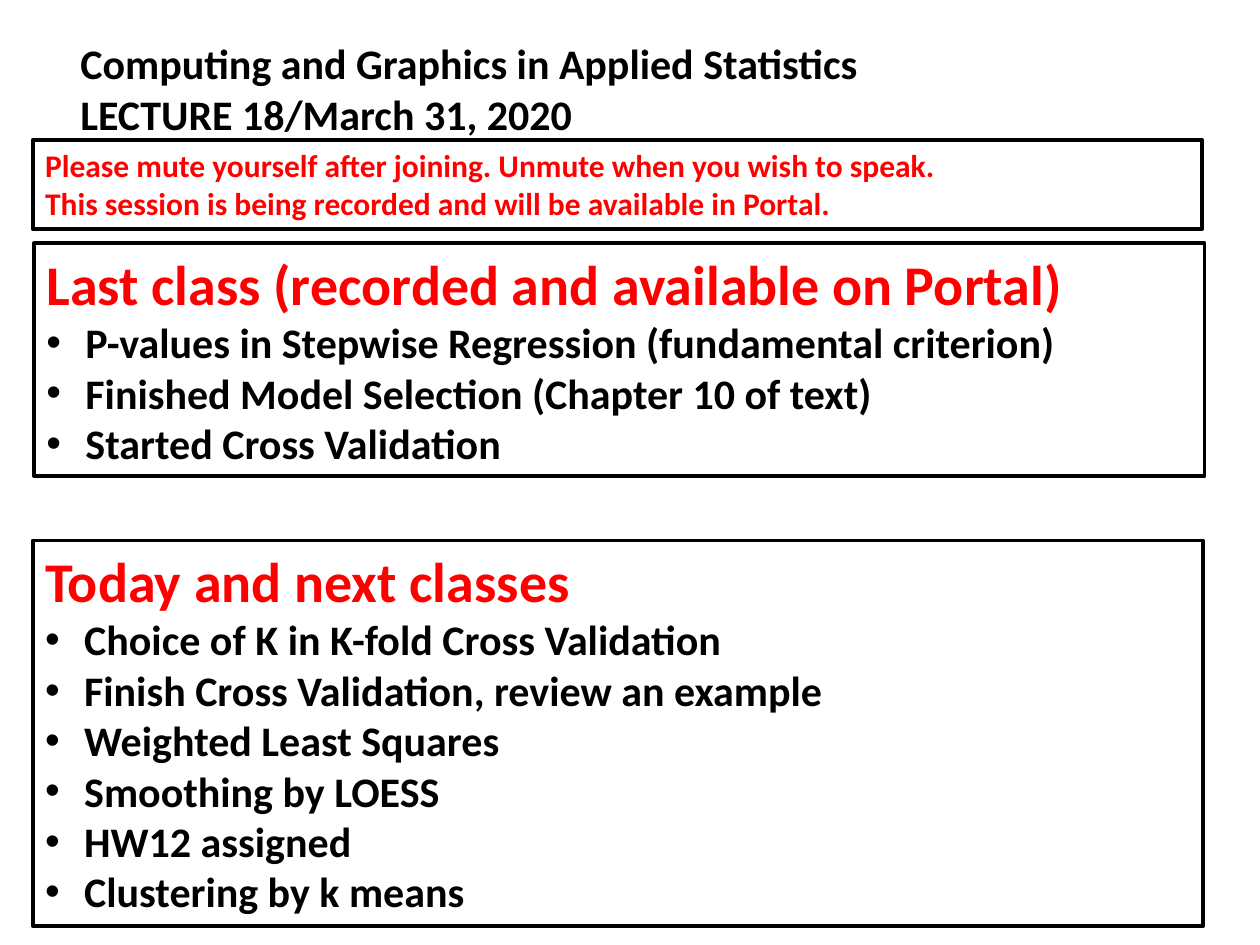
import pptx
import pptx.util
import pptx.dml.color
import pptx.enum.shapes
import pptx.enum.text
import lxml.etree
from pptx.util import Inches

BLACK, RED, WHITE = "000000", "FF0000", "FFFFFF"


def tint(code):
    return pptx.dml.color.RGBColor.from_string(code)


def write(shape, lines):
    """Fill a shape with lines of (text, size, colour, level, bullet)."""
    frame = shape.text_frame
    frame.word_wrap = True
    frame.auto_size = pptx.enum.text.MSO_AUTO_SIZE.SHAPE_TO_FIT_TEXT
    frame.vertical_anchor = pptx.enum.text.MSO_ANCHOR.TOP
    for i, (text, size, code, level, mark) in enumerate(lines):
        para = frame.paragraphs[0] if i == 0 else frame.add_paragraph()
        para.alignment = pptx.enum.text.PP_ALIGN.LEFT
        para.level = level
        props = para._p.get_or_add_pPr()
        indent = Inches(0.31) if mark else 0
        props.set("marL", str(indent))
        props.set("indent", str(-indent))
        if mark:
            space = pptx.oxml.ns.qn("a:buFont")
            lxml.etree.SubElement(props, space, typeface="Arial")
            lxml.etree.SubElement(props, pptx.oxml.ns.qn("a:buChar"), char="•")
        run = para.add_run()
        run.text = text
        run.font.name = "Calibri"
        run.font.size = pptx.util.Pt(size)
        run.font.bold = True
        run.font.color.rgb = tint(code)


deck = pptx.Presentation()
deck.slide_width, deck.slide_height = Inches(10), Inches(7.5)
slide = deck.slides.add_slide(deck.slide_layouts[6])

# Course title
title = slide.shapes.add_textbox(Inches(0.54), Inches(0.25), Inches(8), Inches(1.31))
write(title, [(text, 24, BLACK, 0, False) for text in (
    "Computing and Graphics in Applied Statistics",
    "LECTURE 18/March 31, 2020")])

# Wording of the framed boxes
last = [("Last class (recorded and available on Portal)", 32, RED, 0, False)]
last += [(text, 24, BLACK, 1, True) for text in (
    "P-values in Stepwise Regression (fundamental criterion)",
    "Finished Model Selection (Chapter 10 of text)",
    "Started Cross Validation")]

today = [("Today and next classes", 32, RED, 0, False)]
today += [(text, 24, BLACK, 1, True) for text in (
    "Choice of K in K-fold Cross Validation",
    "Finish Cross Validation, review an example",
    "Weighted Least Squares",
    "Smoothing by LOESS",
    "HW12 assigned",
    "Clustering by k means")]

notice = [(text, 18, RED, 1, False) for text in (
    "Please mute yourself after joining. Unmute when you wish to speak.",
    "This session is being recorded and will be available in Portal.")]

# Framed boxes: left, top, width, height, lines
for left, top, width, height, lines in (
        (0.27, 1.93, 9.29, 1.85, last),
        (0.26, 4.29, 9.29, 3.06, today),
        (0.26, 1.11, 9.28, 0.71, notice)):
    box = slide.shapes.add_shape(
        pptx.enum.shapes.MSO_SHAPE.RECTANGLE,
        Inches(left), Inches(top), Inches(width), Inches(height))
    box.shadow.inherit = False
    box.fill.solid()
    box.fill.fore_color.rgb = tint(WHITE)
    box.line.color.rgb = tint(BLACK)
    box.line.width = pptx.util.Pt(2)
    write(box, lines)

deck.save("out.pptx")
